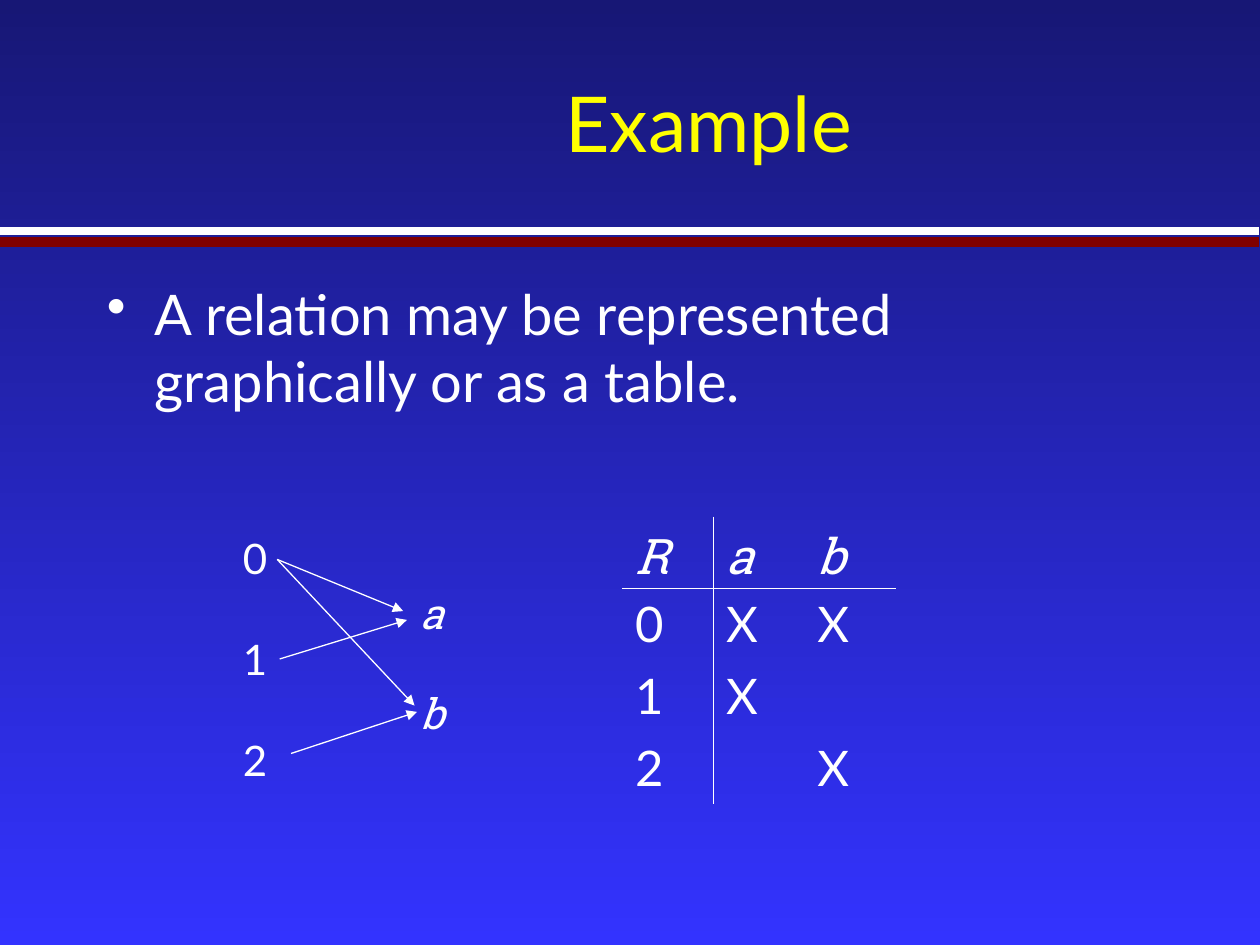
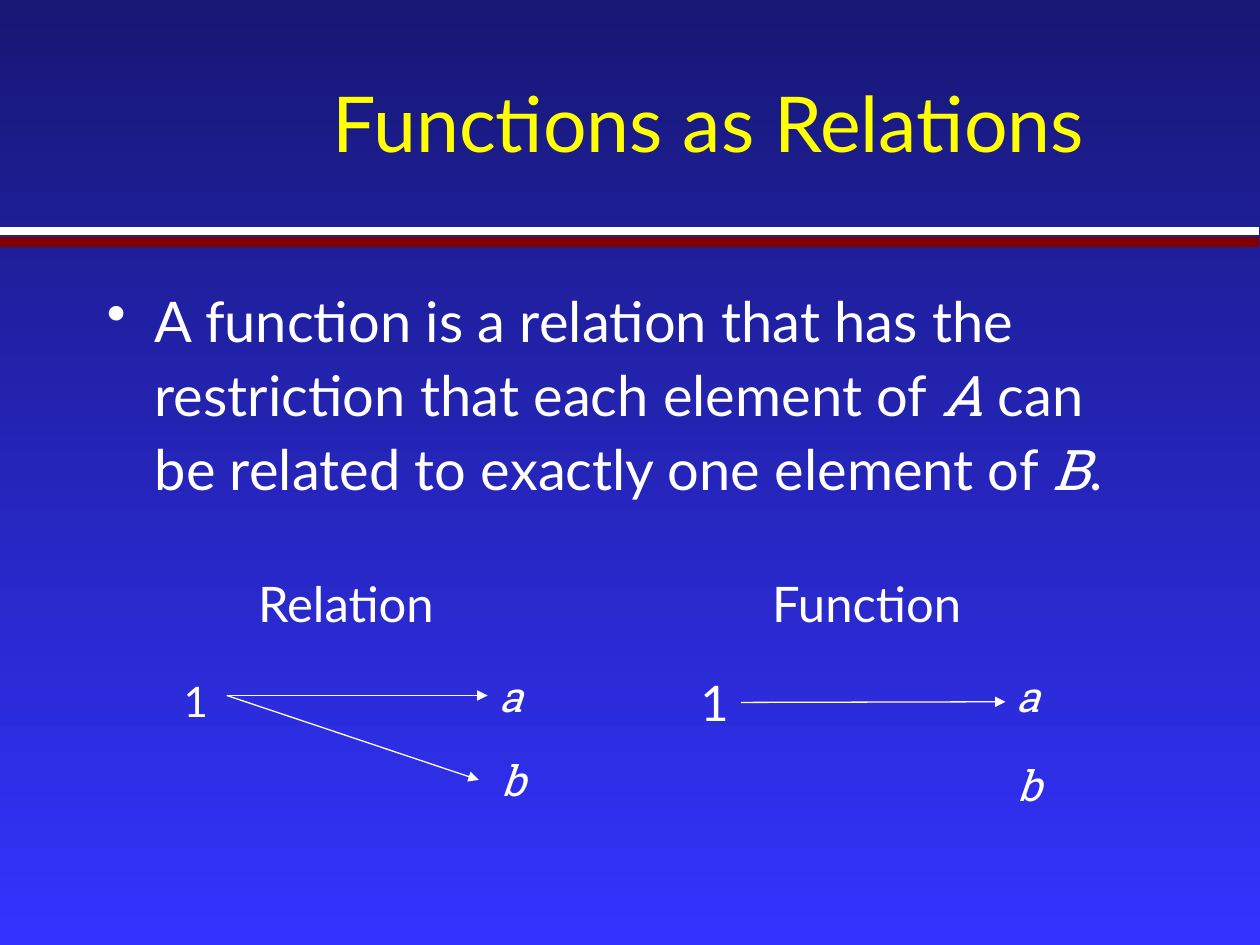
from dataclasses import dataclass
from typing import NamedTuple, Optional, Sequence, Union

from pptx import Presentation
from pptx.dml.color import RGBColor
from pptx.enum.shapes import MSO_CONNECTOR
from pptx.enum.text import MSO_ANCHOR, MSO_AUTO_SIZE, PP_ALIGN
from pptx.oxml.ns import qn
from pptx.oxml.xmlchemy import OxmlElement
from pptx.shapes.autoshape import Shape
from pptx.shapes.connector import Connector
from pptx.slide import Slide
from pptx.table import _Cell
from pptx.text.text import TextFrame, _Paragraph
from pptx.util import Emu, Pt

STRAIGHT = MSO_CONNECTOR.STRAIGHT
LEFT, CENTER = PP_ALIGN.LEFT, PP_ALIGN.CENTER
TOP, MIDDLE = MSO_ANCHOR.TOP, MSO_ANCHOR.MIDDLE
GROW, FIXED = MSO_AUTO_SIZE.SHAPE_TO_FIT_TEXT, MSO_AUTO_SIZE.NONE
LEFT_SIDE, RIGHT_SIDE = 1, 3

EMU_PER_PX = 9144  # 100 px to the inch


@dataclass(frozen=True)
class Theme:
    night: str = "171775"
    blue: str = "3333FF"
    white: str = "FFFFFF"
    maroon: str = "800000"
    yellow: str = "FFFF00"
    text_font: str = "Lato"
    symbol_font: str = "Roboto Slab"
    title_size: float = 44
    body_size: float = 32
    large_size: float = 28
    label_size: float = 24
    arrow_width: float = 0.75
    rule_width: float = 0.45
    label_gap: float = 28.8


THEME = Theme()


class Box(NamedTuple):
    left: int
    top: int
    width: int
    height: int


class Point(NamedTuple):
    x: int
    y: int


class Span(NamedTuple):
    text: str
    symbol: bool = False


class Band(NamedTuple):
    y: int
    color: str
    width: float


class Label(NamedTuple):
    box: Box
    lines: Sequence[str]
    symbol: bool = False
    size: float = THEME.label_size


class Arrow(NamedTuple):
    start: Point
    end: Point
    source: Optional[str] = None  # label whose right side it leaves
    target: Optional[str] = None  # label whose left side it reaches


Line = Union[str, Sequence[Span]]

TITLE_BOX = Box(200, 35, 725, 123)
BODY_BOX = Box(75, 217, 850, 450)
BANDS = (Band(183, THEME.white, 4.5), Band(192, THEME.maroon, 6))
BULLET_INDENT = 38


def px(length: int) -> Emu:
    return Emu(length * EMU_PER_PX)


def rgb(color: str) -> RGBColor:
    return RGBColor.from_string(color)


# Text

def add_bullet(paragraph: _Paragraph) -> None:
    properties = paragraph._p.get_or_add_pPr()
    properties.set("marL", str(px(BULLET_INDENT)))
    properties.set("indent", str(-px(BULLET_INDENT)))
    bullet_color = OxmlElement("a:buClr")
    color = OxmlElement("a:srgbClr")
    color.set("val", THEME.white)
    bullet_color.append(color)
    bullet = OxmlElement("a:buChar")
    bullet.set("char", "•")
    properties.extend((bullet_color, bullet))


def write_text(frame: TextFrame, lines: Sequence[Line], *,
               size: float = THEME.label_size, color: str = THEME.white,
               symbol: bool = False, align: PP_ALIGN = LEFT,
               bullet: bool = False, spacing: float = 1.0, gap: float = 0) -> None:
    for index, line in enumerate(lines):
        paragraph = frame.add_paragraph() if index else frame.paragraphs[0]
        if bullet:
            add_bullet(paragraph)
        paragraph.alignment = align
        paragraph.line_spacing = spacing
        if index:
            paragraph.space_before = Pt(gap)
        spans = (Span(line, symbol),) if isinstance(line, str) else line
        for span in spans:
            run = paragraph.add_run()
            run.text = span.text
            run.font.size = Pt(size)
            run.font.color.rgb = rgb(color)
            run.font.italic = span.symbol
            run.font.name = THEME.symbol_font if span.symbol else THEME.text_font


def add_text(slide: Slide, box: Box, lines: Sequence[Line], *, wrap: bool = True,
             anchor: MSO_ANCHOR = TOP, **text_format) -> Shape:
    text_box = slide.shapes.add_textbox(*map(px, box))
    frame = text_box.text_frame
    frame.word_wrap = wrap
    frame.auto_size = FIXED if wrap else GROW
    frame.vertical_anchor = anchor
    write_text(frame, lines, **text_format)
    return text_box


# Lines and diagrams

def add_line(slide: Slide, start: Point, end: Point, color: str, width: float,
             arrowhead: bool = False) -> Connector:
    line = slide.shapes.add_connector(STRAIGHT, *map(px, (*start, *end)))
    line.line.color.rgb = rgb(color)
    line.line.width = Pt(width)
    if arrowhead:
        head = OxmlElement("a:tailEnd")
        head.set("type", "triangle")
        line.line._get_or_add_ln().append(head)
    line._element.spPr.append(OxmlElement("a:effectLst"))
    return line


def add_diagram(slide: Slide, labels: dict[str, Label],
                arrows: Sequence[Arrow]) -> None:
    drawn = {
        key: add_text(slide, label.box, label.lines, wrap=False, size=label.size,
                      symbol=label.symbol, gap=THEME.label_gap)
        for key, label in labels.items()
    }
    for arrow in arrows:
        line = add_line(slide, arrow.start, arrow.end, THEME.white,
                        THEME.arrow_width, arrowhead=True)
        if arrow.source:
            line.begin_connect(drawn[arrow.source], RIGHT_SIDE)
        if arrow.target:
            line.end_connect(drawn[arrow.target], LEFT_SIDE)


# Relation table

def set_borders(cell: _Cell, visible: dict[str, bool]) -> None:
    properties = cell._tc.get_or_add_tcPr()
    for side, shown in visible.items():
        border = OxmlElement(f"a:ln{side}")
        if shown:
            border.set("w", str(Pt(THEME.rule_width)))
            fill = OxmlElement("a:solidFill")
            color = OxmlElement("a:srgbClr")
            color.set("val", THEME.white)
            fill.append(color)
        else:
            fill = OxmlElement("a:noFill")
        border.append(fill)
        properties.append(border)


def add_relation_table(slide: Slide, box: Box, rows: Sequence[str]) -> None:
    table = slide.shapes.add_table(len(rows), len(rows[0]), *map(px, box)).table
    table.first_row = table.horz_banding = False
    for row_index, row in enumerate(rows):
        for column_index, mark in enumerate(row):
            cell = table.cell(row_index, column_index)
            set_borders(cell, {"L": column_index == 1, "R": column_index == 0,
                               "T": row_index == 1, "B": row_index == 0})
            cell.fill.background()
            if mark != " ":
                write_text(cell.text_frame, [mark], size=THEME.large_size,
                           symbol=row_index == 0)


# Slides

def add_base_slide(prs: Presentation, title: str, body: Line,
                   body_spacing: float = 1.0) -> Slide:
    slide = prs.slides.add_slide(prs.slide_layouts[6])
    background = slide.background.fill
    background.gradient()
    background.gradient_angle = 270
    for stop, position, color in zip(background.gradient_stops, (0, 1),
                                     (THEME.night, THEME.blue)):
        stop.position = position
        stop.color.rgb = rgb(color)
    for band in BANDS:
        add_line(slide, Point(0, band.y), Point(999, band.y), band.color, band.width)
    add_text(slide, TITLE_BOX, [title], anchor=MIDDLE, align=CENTER,
             size=THEME.title_size, color=THEME.yellow)
    add_text(slide, BODY_BOX, [body], bullet=True, spacing=body_spacing,
             size=THEME.body_size)
    return slide


def build_example(prs: Presentation) -> None:
    slide = add_base_slide(
        prs, "Example", "A relation may be represented graphically or as a table.")
    zero = Point(220, 444)
    add_diagram(
        slide,
        {"numbers": Label(Box(183, 418, 39, 210), "012"),
         "letters": Label(Box(324, 461, 40, 130), "ab", symbol=True)},
        (Arrow(zero, Point(320, 485)),
         Arrow(zero, Point(329, 560)),
         Arrow(Point(223, 525), Point(323, 492), source="numbers"),
         Arrow(Point(231, 598), Point(331, 565))))
    add_relation_table(slide, Box(494, 410, 217, 228), ("Rab", "0XX", "1X ", "2 X"))


def build_functions(prs: Presentation) -> None:
    body = (Span("A function is a relation that has the restriction that each element of "),
            Span("A", True), Span(" can be related to exactly one element of "),
            Span("B", True), Span("."))
    slide = add_base_slide(prs, "Functions as Relations", body, body_spacing=1.1)

    # One element with two partners
    one = Point(180, 552)
    add_diagram(
        slide,
        {"one": Label(Box(136, 531, 39, 50), "1"),
         "a": Label(Box(387, 527, 40, 50), "a", symbol=True),
         "b": Label(Box(388, 594, 40, 50), "b", symbol=True),
         "heading": Label(Box(195, 450, 169, 57), ["Relation"], size=THEME.large_size)},
        (Arrow(one, Point(388, 552), target="a"), Arrow(one, Point(380, 619))))

    # One element with one partner
    add_diagram(
        slide,
        {"one": Label(Box(546, 529, 42, 57), "1", size=THEME.large_size),
         "a": Label(Box(797, 527, 40, 50), "a", symbol=True),
         "b": Label(Box(798, 598, 40, 50), "b", symbol=True),
         "heading": Label(Box(603, 450, 178, 57), ["Function"], size=THEME.large_size)},
        (Arrow(Point(590, 556), Point(798, 557), source="one"),))


def main() -> None:
    prs = Presentation()
    prs.slide_width, prs.slide_height = px(1000), px(750)
    build_example(prs)
    build_functions(prs)
    prs.save("out.pptx")


if __name__ == "__main__":
    main()
